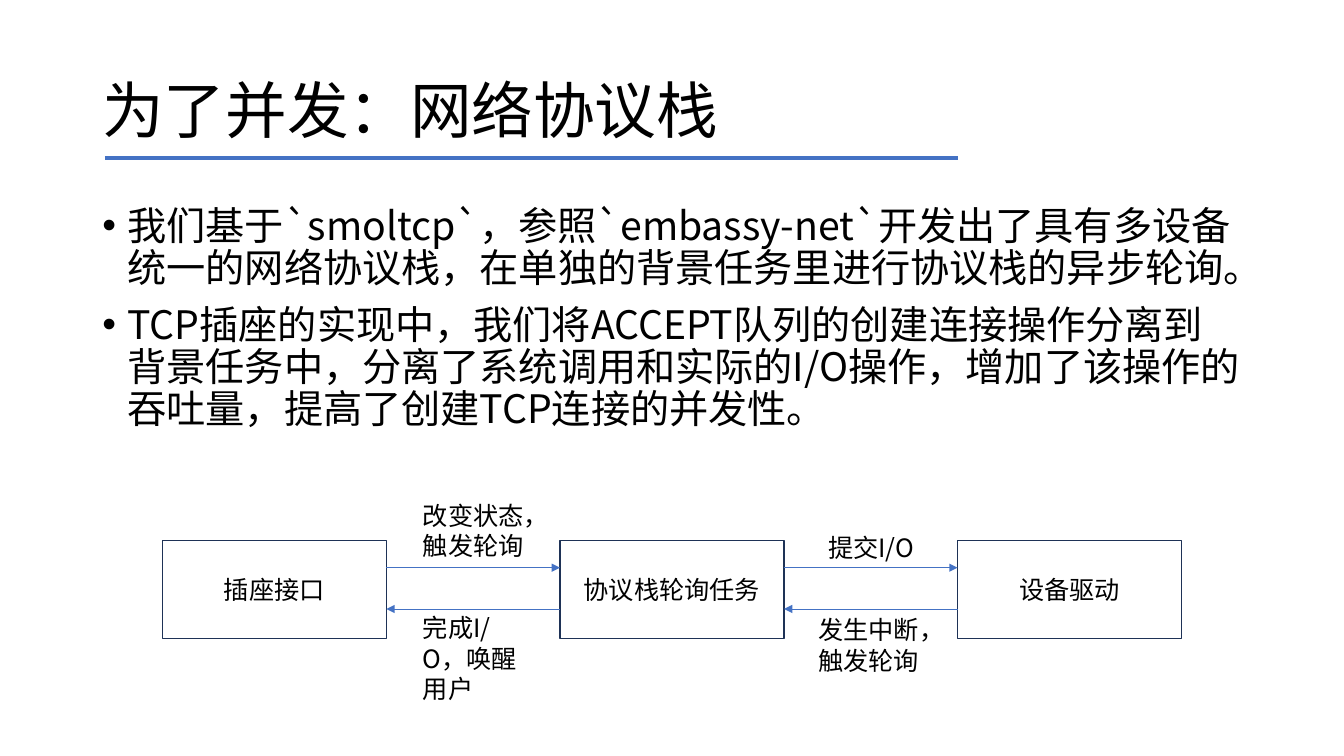
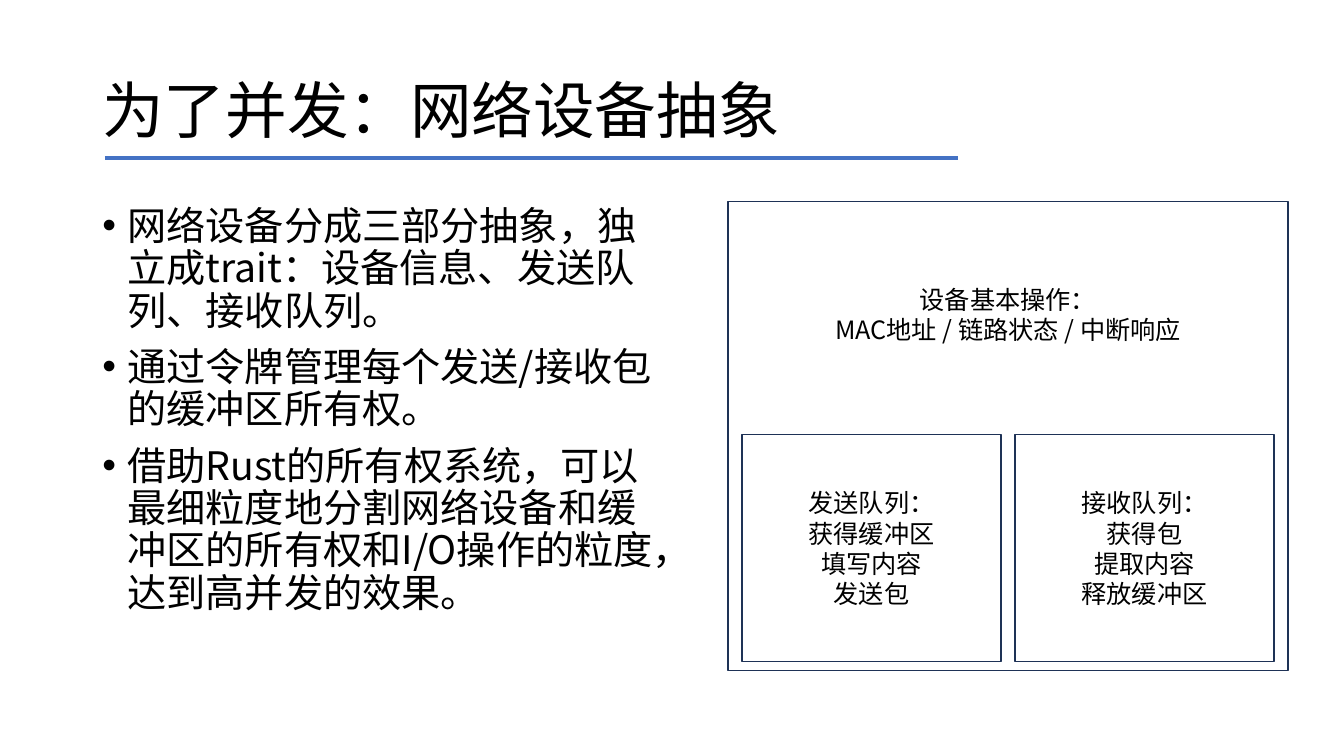
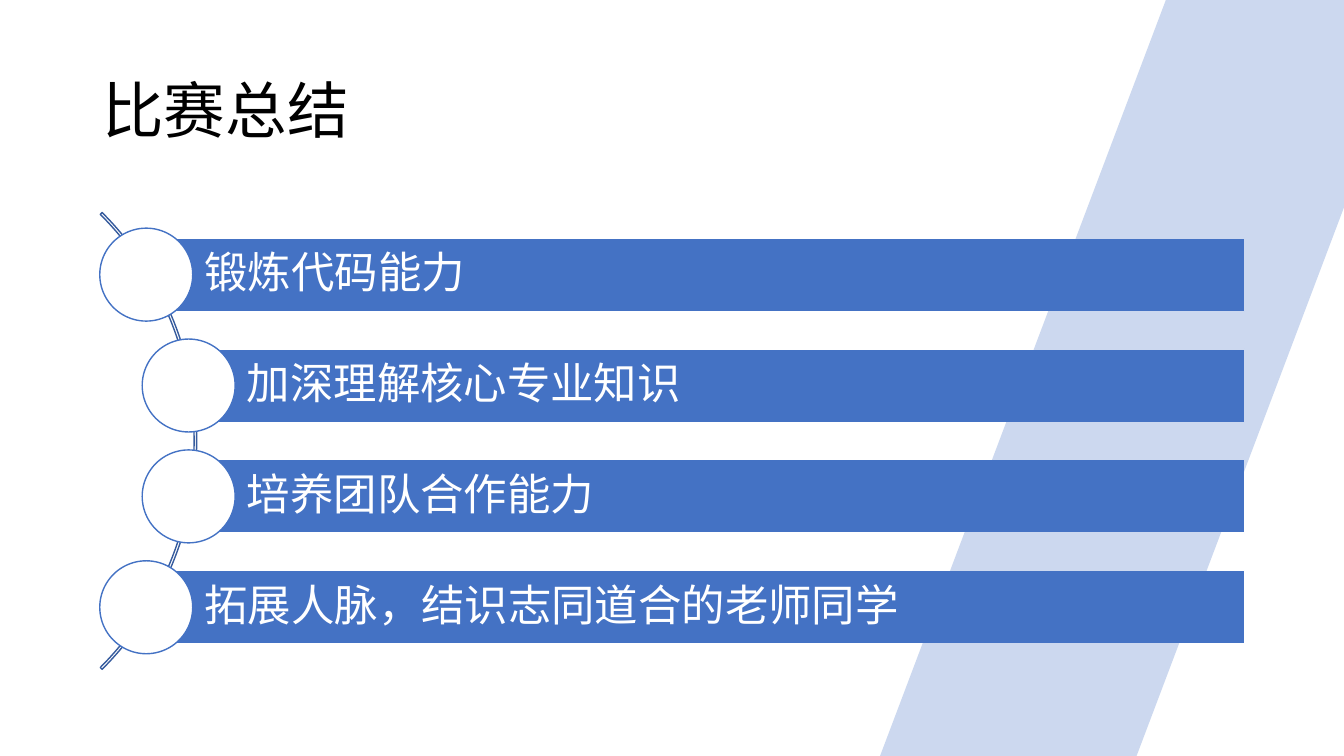
import lxml.etree
import pptx
import pptx.dml.color
import pptx.enum.lang
import pptx.enum.shapes
import pptx.enum.text
import pptx.oxml.ns
import pptx.util

Pt = pptx.util.Pt
SHAPES = pptx.enum.shapes.MSO_SHAPE
ALIGN = pptx.enum.text.PP_ALIGN
MIDDLE = pptx.enum.text.MSO_ANCHOR.MIDDLE

COLOURS = {
    "text": "000000",
    "paper": "FFFFFF",
    "accent": "4472C4",
    "outline": "1E3256",
    "arc": "365B9D",
}
FONT = "Noto Sans CJK SC"
TITLE_BOX = (66, 28.8, 828, 104.4)
BODY_TOP = 144
BODY_HEIGHT = 343


def colour(name):
    return pptx.dml.color.RGBColor.from_string(COLOURS[name])


def apply_format(target, values):
    for name, value in values.items():
        setattr(target, name, value)


def add_xml(parent, tag, **attributes):
    return lxml.etree.SubElement(parent, pptx.oxml.ns.qn(tag), attributes)


def write_text(shape, lines, size, ink="text", para_format=None, frame_format=None, bullet=False):
    frame = shape.text_frame
    apply_format(frame, {"word_wrap": True, **(frame_format or {})})
    for index, line in enumerate(lines):
        para = frame.add_paragraph() if index else frame.paragraphs[0]
        apply_format(para, {"alignment": ALIGN.LEFT, **(para_format or {})})
        if bullet:
            properties = para._p.get_or_add_pPr()
            apply_indent = {"marL": Pt(18), "indent": Pt(-18)}
            for name, value in apply_indent.items():
                properties.set(name, str(value))
            add_xml(properties, "a:buFont", typeface="Arial")
            add_xml(properties, "a:buChar", char="•")
        span = para.add_run()
        span.text = line
        apply_format(span.font, {
            "name": FONT,
            "size": Pt(size),
            "language_id": pptx.enum.lang.MSO_LANGUAGE_ID.SIMPLIFIED_CHINESE,
        })
        span.font.color.rgb = colour(ink)
        add_xml(span.font._element, "a:ea", typeface=FONT)


def add_text(page, box, lines, size, **options):
    shape = page.shapes.add_textbox(*map(Pt, box))
    write_text(shape, lines, size, **options)


def add_shape(page, kind, box, fill=None, line=None):
    shape = page.shapes.add_shape(kind, *map(Pt, box))
    shape.shadow.inherit = False
    if fill:
        shape.fill.solid()
        shape.fill.fore_color.rgb = colour(fill)
    else:
        shape.fill.background()
    if line:
        shape.line.color.rgb = colour(line)
        shape.line.width = Pt(1)
    else:
        shape.line.fill.background()
    return shape


def add_line(page, start, end, width, arrow=False):
    kind = pptx.enum.shapes.MSO_CONNECTOR.STRAIGHT
    line = page.shapes.add_connector(kind, *map(Pt, (*start, *end)))
    line.line.color.rgb = colour("accent")
    line.line.width = Pt(width)
    if arrow:
        add_xml(line.line._get_or_add_ln(), "a:tailEnd", type="triangle")
    add_xml(line._element.spPr, "a:effectLst")


def add_box(page, box, lines, bottom=3.6):
    shape = add_shape(page, SHAPES.RECTANGLE, box, "paper", "outline")
    write_text(shape, lines, 18, para_format={"alignment": ALIGN.CENTER},
               frame_format={"vertical_anchor": MIDDLE, "margin_bottom": Pt(bottom)})


def add_page(deck, title, underline=True):
    page = deck.slides.add_slide(deck.slide_layouts[6])
    add_text(page, TITLE_BOX, [title], 44, para_format={"line_spacing": 0.9},
             frame_format={"vertical_anchor": MIDDLE})
    if underline:
        add_line(page, (75, 113), (684, 113), 3)
    return page


def add_body(page, width, lines):
    add_text(page, (66, BODY_TOP, width, BODY_HEIGHT), lines, 28, bullet=True,
             para_format={"line_spacing": 0.9, "space_before": Pt(10)})


def add_flow(page, left, top, names, links):
    width, height, step = 160, 70, 284
    for index, name in enumerate(names):
        add_box(page, (left + index * step, top, width, height), [name])
    for index, pair in enumerate(links):
        start = left + index * step + width
        end = left + (index + 1) * step
        for forward, (label, shift, rise, tall) in zip((True, False), pair):
            level = top + (19.5 if forward else 49)
            ends = (start, level), (end, level)
            add_line(page, *(ends if forward else ends[::-1]), 0.5, arrow=True)
            add_text(page, (start + shift, top + rise, 89.3, tall), [label], 18)


def add_device(page, left, top, width, height, heading, queues):
    add_box(page, (left, top, width, height), heading, bottom=177)
    margin, gap, tall = 10, 10, 162
    queue_width = (width - 2 * margin - gap) / len(queues)
    for index, lines in enumerate(queues):
        add_box(page, (left + margin + index * (queue_width + gap), top + 166.5, queue_width, tall), lines)


def add_summary(page, right, top, points):
    height, pitch, diameter = 52.4, 79.2, 66.4
    arc = add_shape(page, SHAPES.BLOCK_ARC, (-321, 84.2, 461.5, 461.5), line="arc")
    for index, value in enumerate((189, 27, 0.004)):
        arc.adjustments[index] = value
    for index, (left, line) in enumerate(points):
        y = top + index * pitch
        bar = add_shape(page, SHAPES.RECTANGLE, (left, y, right - left, height), "accent", "paper")
        write_text(bar, [line], 31, ink="paper", para_format={"line_spacing": 0.9},
                   frame_format={"vertical_anchor": MIDDLE, "margin_left": Pt(41.6)})
        add_shape(page, SHAPES.OVAL, (left - diameter / 2, y + (height - diameter) / 2, diameter, diameter),
                  "paper", "accent")


def add_band(page, left, width, height):
    band = add_shape(page, SHAPES.PARALLELOGRAM, (left, 0, width, height), "accent")
    band.adjustments[0] = 0.527
    fill = band._element.spPr.find(pptx.oxml.ns.qn("a:solidFill"))
    add_xml(fill[0], "a:alpha", val="27000")


def build_stack(deck):
    page = add_page(deck, "为了并发：网络协议栈")
    add_body(page, 828, [
        "我们基于`smoltcp`，参照`embassy-net`开发出了具有多设备统一的网络协议栈，在单独的背景任务里进行协议栈的异步轮询。",
        "TCP插座的实现中，我们将ACCEPT队列的创建连接操作分离到背景任务中，分离了系统调用和实际的I/O操作，增加了该操作的吞吐量，提高了创建TCP连接的并发性。",
    ])
    add_flow(page, 116, 386, ["插座接口", "协议栈轮询任务", "设备驱动"], [
        (("改变状态，触发轮询", 19, -32, 51), ("完成I/O，唤醒用户", 19, 48, 51)),
        (("提交I/O", 24.5, -9.5, 29), ("发生中断，触发轮询", 17.5, 49.5, 51)),
    ])


def build_device(deck):
    page = add_page(deck, "为了并发：网络设备抽象")
    add_body(page, 421.2, [
        "网络设备分成三部分抽象，独立成trait：设备信息、发送队列、接收队列。",
        "通过令牌管理每个发送/接收包的缓冲区所有权。",
        "借助Rust的所有权系统，可以最细粒度地分割网络设备和缓冲区的所有权和I/O操作的粒度，达到高并发的效果。",
    ])
    add_device(page, 520, BODY_TOP, 400, 335, ["设备基本操作：", "MAC地址 / 链路状态 / 中断响应"], [
        ["发送队列：", "获得缓冲区", "填写内容", "发送包"],
        ["接收队列：", "获得包", "提取内容", "释放缓冲区"],
    ])


def build_summary(deck):
    page = add_page(deck, "比赛总结", underline=False)
    add_summary(page, 889, 170, [
        (104.5, "锻炼代码能力"),
        (134.8, "加深理解核心专业知识"),
        (134.8, "培养团队合作能力"),
        (104.5, "拓展人脉，结识志同道合的老师同学"),
    ])
    add_band(page, 628.6, 387.4, 540)


def main():
    deck = pptx.Presentation()
    apply_format(deck, {"slide_width": Pt(960), "slide_height": Pt(540)})
    for build in (build_stack, build_device, build_summary):
        build(deck)
    deck.save("out.pptx")


if __name__ == "__main__":
    main()
